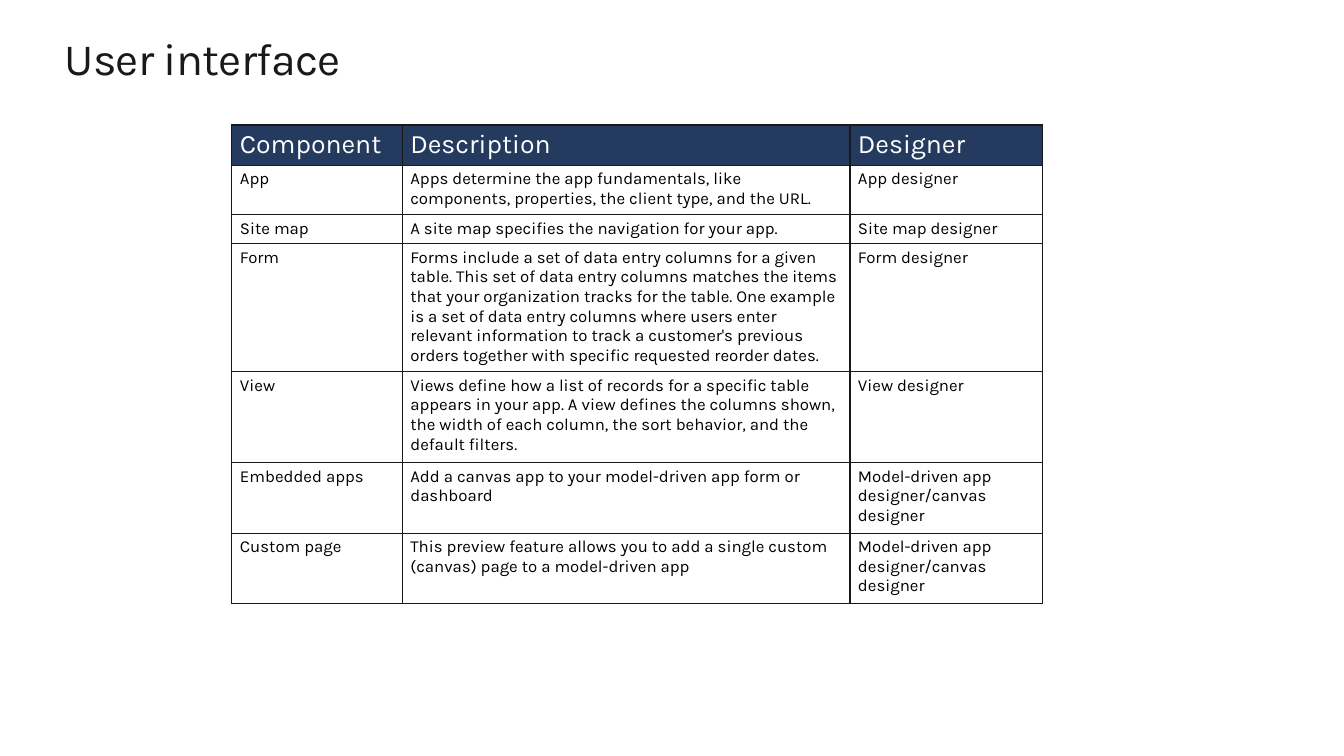
from dataclasses import dataclass

from lxml.etree import SubElement
from pptx import Presentation
from pptx.dml.color import RGBColor
from pptx.enum.text import MSO_ANCHOR, PP_ALIGN
from pptx.oxml.ns import qn
from pptx.slide import Slide
from pptx.table import _Cell
from pptx.text.text import _Paragraph
from pptx.util import Inches, Pt

FONT = "Karla"
COLORS = {"ink": "191919", "text": "000000", "header": "243A5E", "white": "FFFFFF"}
COLUMN_WIDTHS = (1.69, 4.44, 1.91)


@dataclass(frozen=True)
class ComponentRow:
    height: float
    component: str
    description: str
    designer: str


HEADER = ComponentRow(0.4, "Component", "Description", "Designer")
COMPONENTS = (
    ComponentRow(
        0.49, "App",
        "Apps determine the app fundamentals, like components, properties, "
        "the client type, and the URL.",
        "App designer",
    ),
    ComponentRow(
        0.29, "Site map",
        "A site map specifies the navigation for your app.",
        "Site map designer",
    ),
    ComponentRow(
        1.27, "Form",
        "Forms include a set of data entry columns for a given table. This set of "
        "data entry columns matches the items that your organization tracks for "
        "the table. One example is a set of data entry columns where users enter "
        "relevant information to track a customer's previous orders together with "
        "specific requested reorder dates.",
        "Form designer",
    ),
    ComponentRow(
        0.9, "View",
        "Views define how a list of records for a specific table appears in your "
        "app. A view defines the columns shown, the width of each column, the sort "
        "behavior, and the default filters.",
        "View designer",
    ),
    ComponentRow(
        0.7, "Embedded apps",
        "Add a canvas app to your model-driven app form or dashboard",
        "Model-driven app designer/canvas designer",
    ),
    ComponentRow(
        0.7, "Custom page",
        "This preview feature allows you to add a single custom (canvas) page to a "
        "model-driven app",
        "Model-driven app designer/canvas designer",
    ),
)


def format_runs(para: _Paragraph, size: float, color: str) -> None:
    for span in para.runs:
        span.font.name = FONT
        span.font.size = Pt(size)
        span.font.bold = False
        span.font.color.rgb = RGBColor.from_string(COLORS[color])


def add_title(page: Slide, text: str) -> None:
    title = page.shapes.title
    title.left, title.top = Inches(0.64), Inches(0.26)
    title.width, title.height = Inches(12.05), Inches(0.54)
    frame = title.text_frame
    frame.text = text
    frame.word_wrap = True
    frame.vertical_anchor = MSO_ANCHOR.TOP
    frame.margin_left, frame.margin_right = Inches(0), Inches(0.16)
    frame.margin_top = frame.margin_bottom = Inches(0.1)
    para = frame.paragraphs[0]
    para.alignment = PP_ALIGN.LEFT
    para.line_spacing = 0.9
    format_runs(para, 32, "ink")
    for span in para.runs:
        span.font._element.set("spc", "-50")


def add_borders(cell: _Cell) -> None:
    properties = cell._tc.get_or_add_tcPr()
    for side in ("lnL", "lnR", "lnT", "lnB"):
        line = SubElement(properties, qn(f"a:{side}"), w=str(Pt(1)))
        fill = SubElement(line, qn("a:solidFill"))
        SubElement(fill, qn("a:srgbClr"), val=COLORS["ink"])


def fill_cell(cell: _Cell, text: str, is_header: bool) -> None:
    cell.text_frame.text = text
    cell.margin_left = cell.margin_right = Inches(0.08)
    cell.margin_top = cell.margin_bottom = Inches(0.04)
    add_borders(cell)
    if is_header:
        cell.fill.solid()
        cell.fill.fore_color.rgb = RGBColor.from_string(COLORS["header"])
        format_runs(cell.text_frame.paragraphs[0], 19, "white")
    else:
        cell.fill.background()
        format_runs(cell.text_frame.paragraphs[0], 12, "text")


def add_component_table(page: Slide) -> None:
    rows = (HEADER, *COMPONENTS)
    table = page.shapes.add_table(
        len(rows), len(COLUMN_WIDTHS), Inches(2.3), Inches(1.24),
        Inches(sum(COLUMN_WIDTHS)), Inches(sum(row.height for row in rows)),
    ).table
    table.horz_banding = False
    for column, width in zip(table.columns, COLUMN_WIDTHS):
        column.width = Inches(width)
    for index, row in enumerate(rows):
        table.rows[index].height = Inches(row.height)
        texts = (row.component, row.description, row.designer)
        for cell, text in zip(table.rows[index].cells, texts):
            fill_cell(cell, text, row is HEADER)


def main() -> None:
    """Build the user interface slide with its table of components."""
    deck = Presentation()
    deck.slide_width, deck.slide_height = Inches(13.33), Inches(7.5)
    page = deck.slides.add_slide(deck.slide_layouts[5])
    add_title(page, "User interface")
    add_component_table(page)
    deck.save("out.pptx")


if __name__ == "__main__":
    main()
